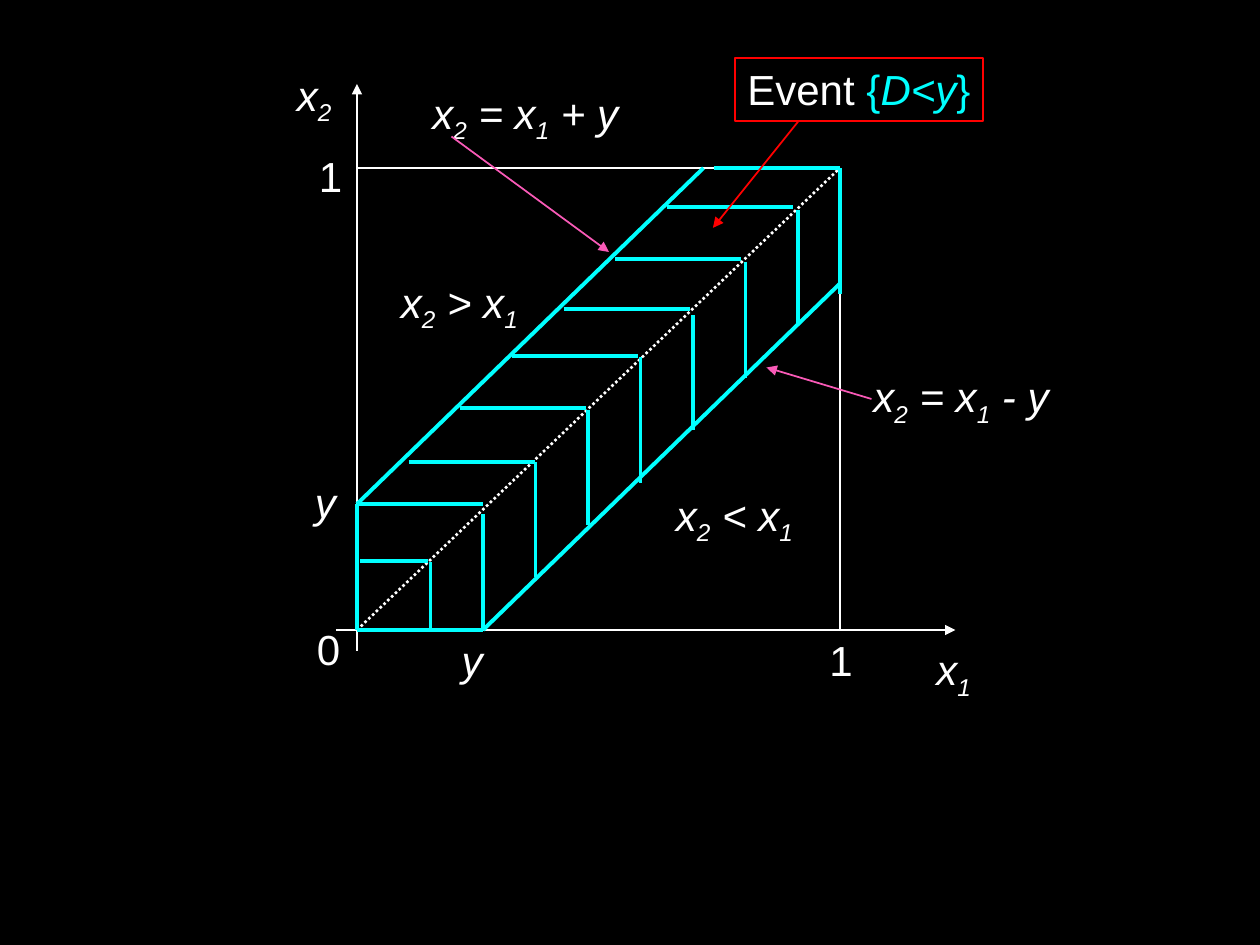
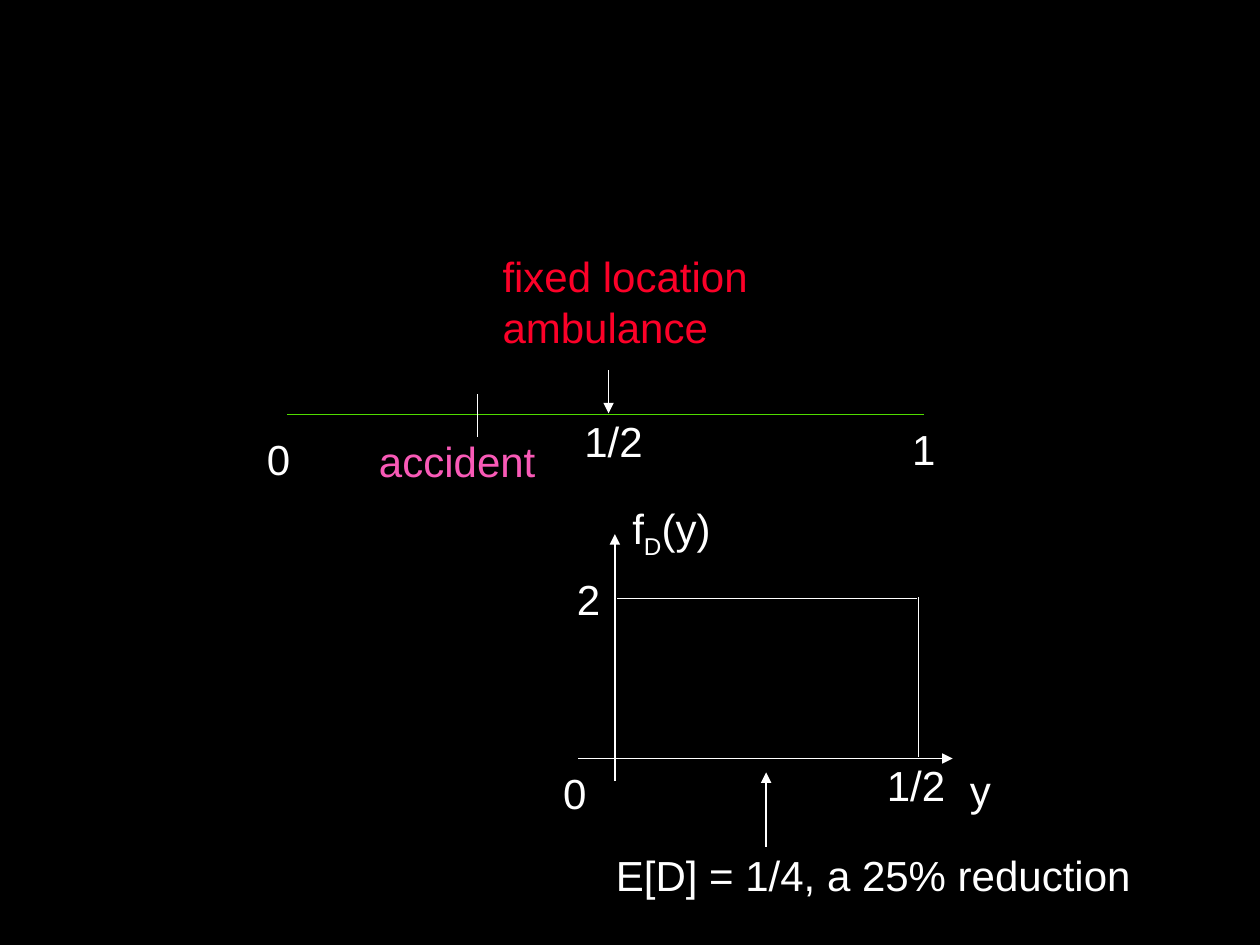
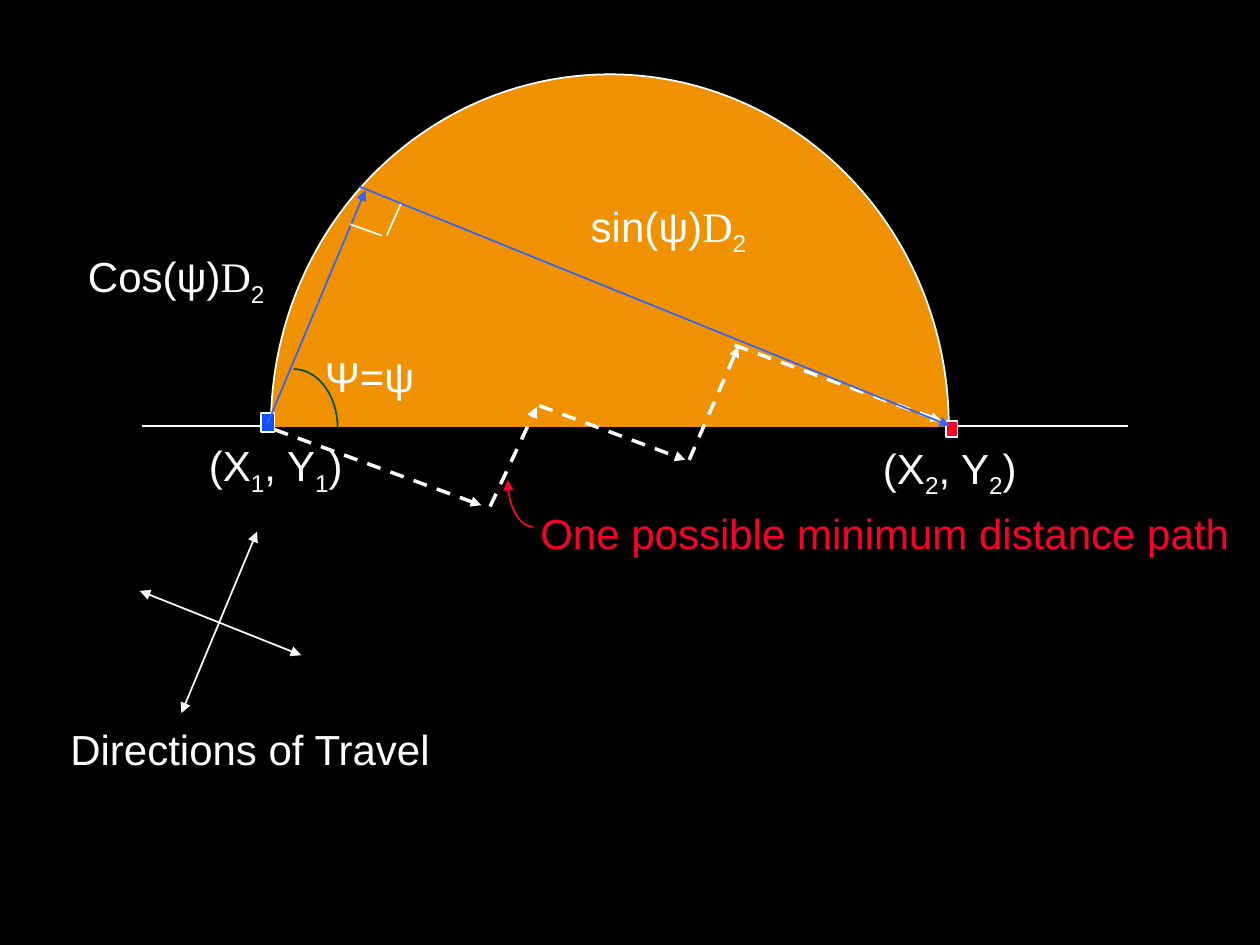
from math import cos, pi, sin

from lxml import etree
from pptx import Presentation
from pptx.dml.color import RGBColor
from pptx.enum.dml import MSO_LINE
from pptx.enum.shapes import MSO_CONNECTOR, MSO_SHAPE
from pptx.enum.text import MSO_AUTO_SIZE
from pptx.oxml.ns import qn
from pptx.util import Inches, Pt

STRAIGHT = MSO_CONNECTOR.STRAIGHT
RECT, OVAL = MSO_SHAPE.RECTANGLE, MSO_SHAPE.OVAL
DOT, DASH = MSO_LINE.ROUND_DOT, MSO_LINE.DASH
GROW = MSO_AUTO_SIZE.SHAPE_TO_FIT_TEXT

BLACK, WHITE = "000000", "FFFFFF"
CYAN, PINK, RED, ROSE = "00FFFF", "F95AB7", "FF0000", "FC0128"
GREEN, FOREST, ORANGE = "51DC00", "005400", "EF9100"
BLUE, SKY = "114FFB", "3365FB"
SANS, SERIF = "Arial", "Times New Roman"


def paint(target, color):
    """Colour a fill, or a font through its fill."""
    target.solid()
    target.fore_color.rgb = RGBColor.from_string(color)


def stroke(line, color, width=1, dash=None, ends=""):
    """Style an outline; ends lists headEnd and tailEnd."""
    paint(line.fill, color)
    line.width = Pt(width)
    if dash:
        line.dash_style = dash
    for end in ends.split():
        tip = etree.SubElement(line._get_or_add_ln(), qn("a:" + end))
        tip.set("type", "triangle")


class Region:
    """A grid on a slide; every part is placed in cells from its origin."""

    def __init__(self, slide, left, top, cell):
        self.shapes = slide.shapes
        self.left, self.top, self.cell = left, top, cell

    def spot(self, x, y):
        return (Inches((self.left + x) * self.cell),
                Inches((self.top + y) * self.cell))

    def size(self, w, h):
        return Inches(w * self.cell), Inches(h * self.cell)

    def line(self, x1, y1, x2, y2, color=WHITE, width=1, dash=None, ends=""):
        link = self.shapes.add_connector(
            STRAIGHT, *self.spot(x1, y1), *self.spot(x2, y2))
        stroke(link.line, color, width, dash, ends)
        etree.SubElement(link._element.spPr, qn("a:effectLst"))

    def arrow(self, x1, y1, x2, y2, color=WHITE, **style):
        self.line(x1, y1, x2, y2, color, ends="tailEnd", **style)

    def shape(self, kind, x, y, w, h, fill, edge=WHITE):
        item = self.shapes.add_shape(kind, *self.spot(x, y), *self.size(w, h))
        item.shadow.inherit = False
        paint(item.fill, fill)
        stroke(item.line, edge)

    def curve(self, x1, y1, x2, y2, color, ends=""):
        """Quarter ellipse that leaves its first point horizontally."""
        turns = [pi / 2 * i / 24 for i in range(25)]
        dots = [self.spot(x1 + (x2 - x1) * sin(t), y2 + (y1 - y2) * cos(t))
                for t in turns]
        pen = self.shapes.build_freeform(*dots[0])
        pen.add_line_segments(dots[1:], close=False)
        item = pen.convert_to_shape()
        item.shadow.inherit = False
        item.fill.background()
        stroke(item.line, color, ends=ends)

    def label(self, x, y, w, text, color=WHITE, italic=False):
        """Bars split runs, line feeds paragraphs; _ marks a subscript."""
        rows = text.split("\n")
        high = 0.1 + 0.4 * len(rows) + (0.06 if "_" in text else 0)
        box = self.shapes.add_textbox(
            *self.spot(x, y), Inches(w * self.cell), Inches(high))
        frame = box.text_frame
        frame.word_wrap = False
        frame.auto_size = GROW
        frame.margin_right = Inches(0.03)  # slack that keeps rows whole
        for i, row in enumerate(rows):
            para = frame.add_paragraph() if i else frame.paragraphs[0]
            for part in row.split("|"):
                run = para.add_run()
                run.text = part.lstrip("_")
                run.font.name, run.font.size = SANS, Pt(24)
                run.font.italic = italic
                paint(run.font.fill, color)
                if part.startswith("_"):
                    run.font._element.set("baseline", "-25000")
        return box


def draw_square(area):
    """Unit square, 46 by 44 cells, with the band around its diagonal."""
    # Axes and square
    area.arrow(0, 46, 0, -8)
    area.arrow(-2, 44, 57, 44)
    area.line(0, 0, 46, 0)
    area.line(46, 0, 46, 44)
    area.line(0, 44, 46, 0, width=1.5, dash=DOT)

    # Band outline, then its hatching on both sides of the diagonal
    band = [(12, 44, 46, 11), (0, 44, 12, 44), (0, 44, 0, 32),
            (46, 12, 46, 0), (34, 0, 46, 0), (0, 32, 33, 0),
            (7, 44, 7, 37.5), (6.8, 37.4, 0.3, 37.4)]
    for k, y in enumerate((32, 28, 22.9, 17.9, 13.4, 8.7, 3.7)):
        x, rise = 12 + 5 * k, 29 / 6 * k
        band.append((x, round(44 - rise), x, round(33 - rise)))
        band.append((4.92 * k, y, 4.92 * k + 12, y))
    for ends in band:
        area.line(*ends, CYAN, 2.25)

    # Variables and relations
    for x, y, w, text in [
            (54, 44.7, 5.6, "x|_1"), (-6.9, -10, 5.6, "x|_2"),
            (8.8, 43.8, 4.3, "y"), (-5.2, 28.8, 4.3, "y"),
            (48, 18.7, 19.1, "x|_2| = x|_1| - y"),
            (6, -8.3, 20, "x|_2| = x|_1| + y"),
            (3, 9.7, 13.6, "x|_2| > x|_1"),
            (29.2, 30, 13.6, "x|_2| < x|_1")]:
        area.label(x, y, w, text, italic=True)
    for x, y, text in [(-4.8, -2.3, "1"), (43.8, 43.8, "1"), (-5, 42.8, "0")]:
        area.label(x, y, 4.6, text)

    # Event box and pointers
    event = area.label(36, -10.5, 23.6, "Event |{|D<y|}")
    stroke(event.line, RED)
    runs = event.text_frame.paragraphs[0].runs
    for run in runs[1:]:
        paint(run.font.fill, CYAN)
    runs[2].font.italic = True
    area.arrow(42, -4.4, 33.9, 5.7, RED)
    area.arrow(49, 22, 39, 19, PINK)
    area.arrow(9, -3, 24, 8, PINK)


def draw_road(area):
    """Road from 0 to 1 with the ambulance at its middle."""
    area.line(0, 0, 50.5, 0, GREEN)
    area.arrow(25.5, -3.5, 25.5, -0.1)
    area.line(15.1, -1.6, 15.1, 1.8)
    area.label(16.1, -13.5, 21.4, "fixed location\nambulance", ROSE)
    area.label(6.3, 1.2, 14.4, "accident", PINK)
    area.label(-2.6, 1, 3.8, "0")
    area.label(48.6, 0.2, 3.8, "1")
    area.label(22.6, -0.4, 6.6, "1/2")


def draw_density(area):
    """Uniform density of the distance, from the axes' crossing."""
    area.arrow(0, 1.8, 0, -17.8)
    area.arrow(-2.9, 0, 26.8, 0)
    area.line(0.2, -12.7, 24, -12.7)
    area.line(24.1, -12.8, 24.1, -0.1)
    area.arrow(12, 7, 12, 1.1)
    for x, y, w, text in [
            (-4, -15.2, 3.8, "2"), (-5.1, 0.2, 3.8, "0"),
            (20.6, -0.4, 6.6, "1/2"), (27.2, 0, 3.6, "y"),
            (0.4, -20.8, 8.2, "f|_D|(y)"),
            (-0.9, 6.7, 42.8, "E[D] = 1/4, a 25% reduction")]:
        area.label(x, y, w, text)


def draw_dome(area):
    """Half disc over the segment that joins the two points."""
    # Half disc: the lower half is covered
    area.line(-9.9, 0, 68.3, 0)
    area.shape(OVAL, 0.3, -27.9, 53.8, 55.8, ORANGE)
    area.shape(RECT, -0.3, 0.2, 55.3, 28.4, BLACK, BLACK)

    # End points
    area.label(-5.6, 0.6, 12.7, "(X|_1|, Y|_1|)")
    area.label(47.9, 0.8, 12.7, "(X|_2|, Y|_2|)")
    area.shape(RECT, -0.5, -1, 1.1, 1.5, BLUE)
    area.shape(RECT, 53.9, -0.4, 0.9, 1.3, ROSE)

    # Dashed route
    for leg in [(0.6, 0.3, 17, 6.3), (37.1, -6.4, 53.5, -0.4),
                (17.7, 6.4, 21.4, -1.5), (21.6, -1.6, 33.2, 2.7),
                (33.5, 2.7, 37.4, -6.3)]:
        area.arrow(*leg, width=2, dash=DASH)
    area.label(20.7, 6, 56.6, "One possible minimum distance path", ROSE)
    area.curve(21.1, 8, 19.1, 4.3, ROSE, "tailEnd")

    # Legs of the triangle, right angle and angle at the first point
    area.arrow(7.3, -19, 54.2, 0, SKY)
    area.arrow(0, -0.1, 7.8, -18.7, SKY)
    area.line(6.6, -16, 9.1, -15.1)
    area.line(9.5, -15.1, 10.6, -17.6)
    area.curve(2.1, -4.5, 5.6, 0.2, FOREST)
    area.label(3.6, -6.5, 9.6, "Ψ=ψ")
    for x, y, w, name in [(-15.2, -14.4, 16, "Cos"),
                          (24.7, -18.4, 14.3, "sin")]:
        side = area.label(x, y, w, name + "(ψ)|D|_2")
        side.text_frame.paragraphs[0].runs[1].font.name = SERIF


def draw_compass(area):
    """Two crossing directions, from their crossing."""
    area.line(3, -7.2, -3, 7.2, ends="headEnd tailEnd")
    area.line(-6.3, -2.5, 6.5, 2.6, ends="headEnd tailEnd")
    area.label(-12.8, 7.5, 30.7, "Directions of Travel")


def main():
    deck = Presentation()
    deck.slide_width, deck.slide_height = Inches(10), Inches(7.5)
    paint(deck.slide_master.background.fill, BLACK)
    blank = deck.slide_layouts[6]
    square, road, dome = [deck.slides.add_slide(blank) for _ in range(3)]

    draw_square(Region(square, 34, 16, 1 / 12))
    draw_road(Region(road, 22.8, 32.9, 0.1))
    draw_density(Region(road, 48.8, 60.2, 0.1))
    draw_dome(Region(dome, 21.2, 33.8, 0.1))
    draw_compass(Region(dome, 17.4, 49.4, 0.1))
    deck.save("out.pptx")


if __name__ == "__main__":
    main()
